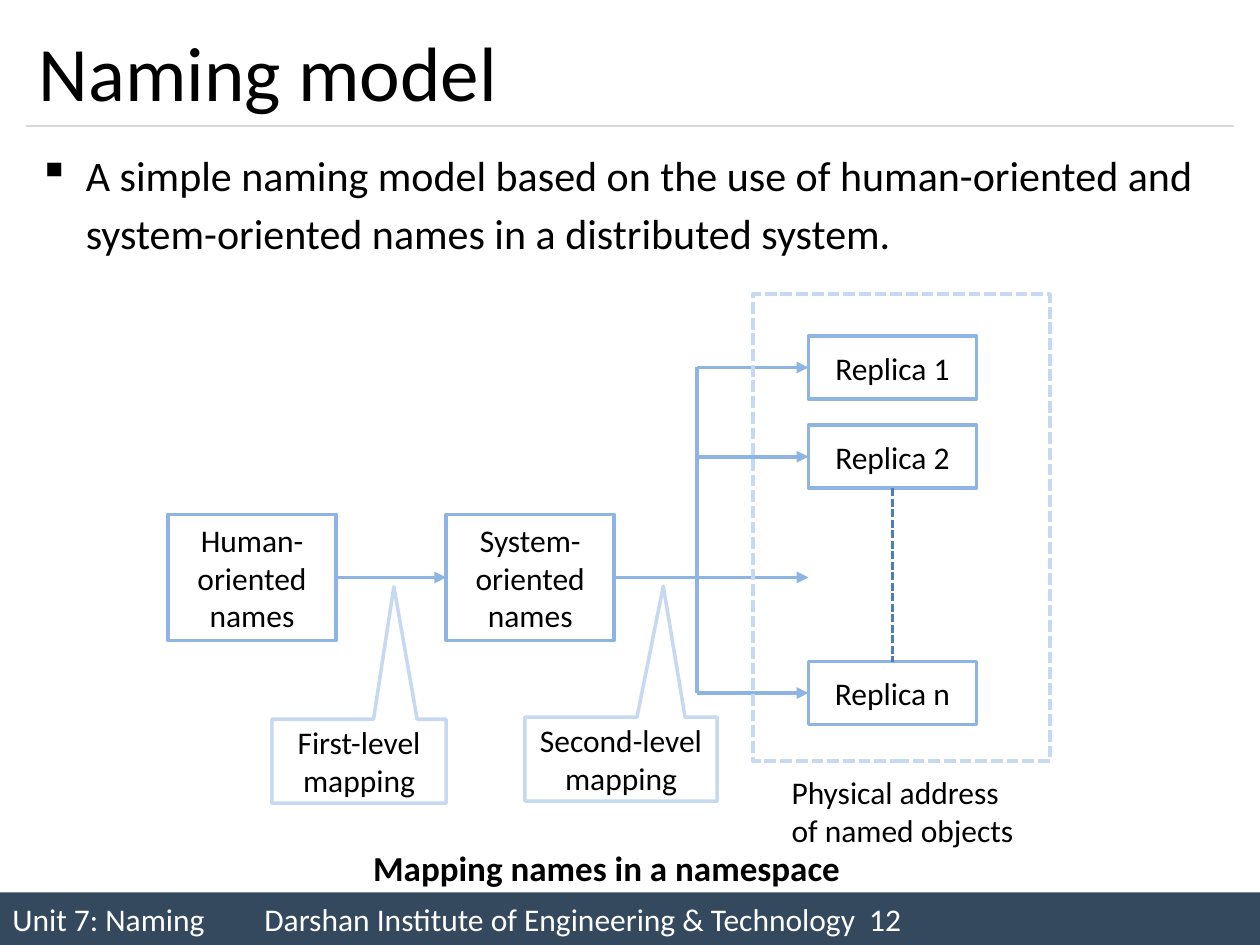
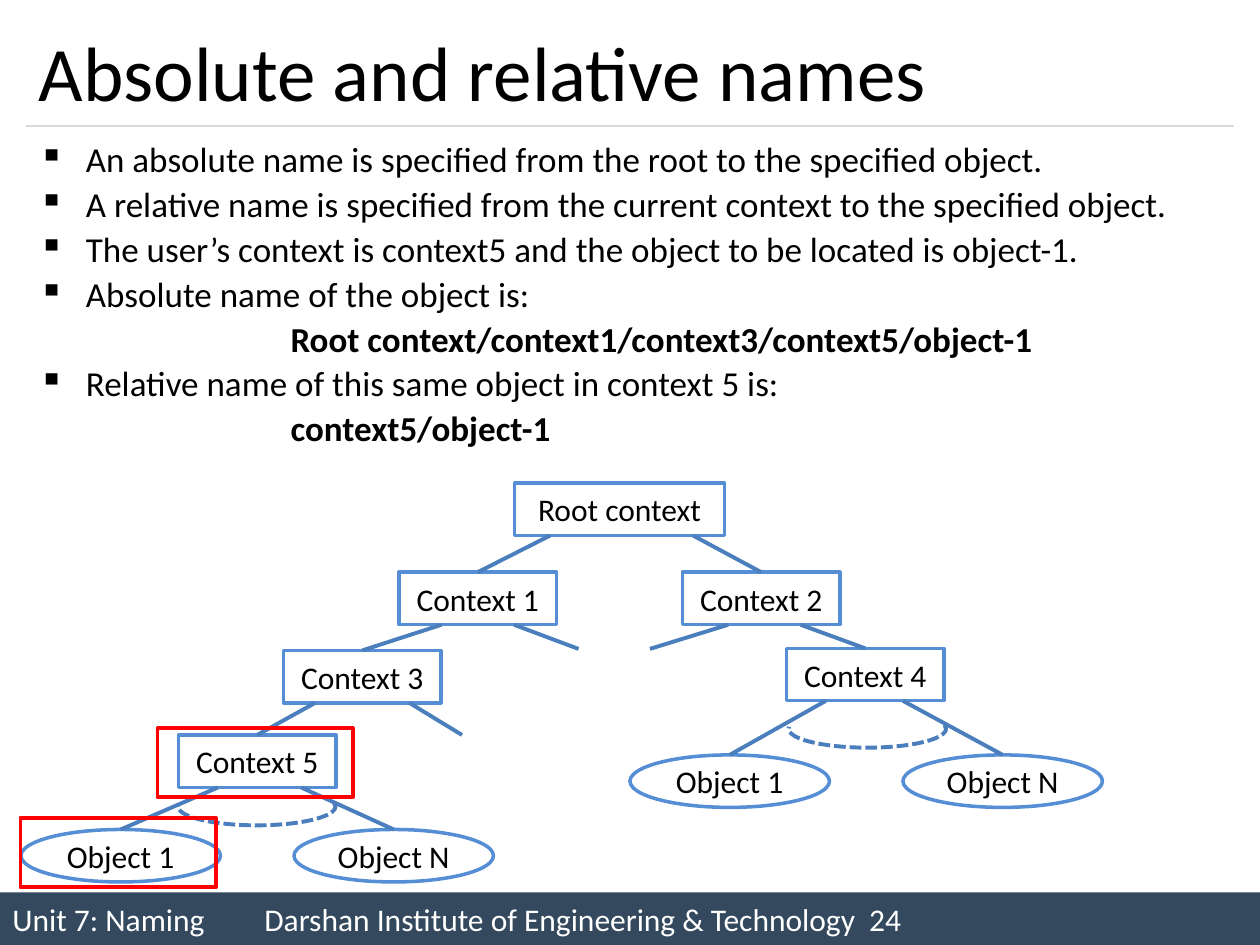
"""Build two slides on naming: the naming model, and absolute and relative names."""
from typing import NamedTuple, Optional

from lxml import etree
from pptx import Presentation
from pptx.dml.color import RGBColor
from pptx.enum.dml import MSO_LINE
from pptx.enum.shapes import MSO_CONNECTOR, MSO_SHAPE
from pptx.enum.text import MSO_ANCHOR, PP_ALIGN
from pptx.oxml.ns import qn
from pptx.util import Emu, Inches, Pt

W, H = Inches(10), Inches(7.5)
COLS = 240
FONT = "Calibri"
BLACK, WHITE, BAND, RULE = "000000", "FFFFFF", "34495E", "D9D9D9"
SKY, PALE, BLUE, STEEL, RED = "8EB4E3", "C6D9F1", "558ED5", "4B7EBC", "FF0000"
RECT, OVAL, ARC = MSO_SHAPE.RECTANGLE, MSO_SHAPE.OVAL, MSO_SHAPE.ARC
CALLOUT = MSO_SHAPE.RECTANGULAR_CALLOUT
DASH = MSO_LINE.SQUARE_DOT
STRAIGHT = MSO_CONNECTOR.STRAIGHT
LEFT, CENTER, JUSTIFY = PP_ALIGN.LEFT, PP_ALIGN.CENTER, PP_ALIGN.JUSTIFY
MIDDLE = MSO_ANCHOR.MIDDLE


class Box(NamedTuple):
    """A labelled shape placed in grid cells."""
    text: str
    x: float
    y: float
    w: float
    h: float
    kind: int = RECT
    line: Optional[str] = BLUE
    fill: Optional[str] = WHITE
    weight: float = 2
    dash: bool = False
    adj: tuple = ()
    turn: float = 0

    def foot(self, share: float = 0.5) -> tuple:
        """Return the point at a share of the bottom edge."""
        return self.x + self.w * share, self.y + self.h

    def head(self) -> tuple:
        """Return the middle of the top edge."""
        return self.x + self.w / 2, self.y


class Branch(NamedTuple):
    """A tree line from a share of a parent's bottom edge to a child."""
    parent: str
    share: float
    child: str


class Stub(NamedTuple):
    """A tree line from a parent that ends at a free point."""
    parent: str
    share: float
    x: float
    y: float


def u(cells: float) -> Emu:
    """Convert grid cells to a length."""
    return Emu(round(cells * W / COLS))


def rgb(value: str) -> RGBColor:
    """Convert a hex string to a colour."""
    return RGBColor.from_string(value)


def place(sp, x: float, y: float, w: float, h: float) -> None:
    """Put a shape at a place in grid cells."""
    sp.left, sp.top, sp.width, sp.height = u(x), u(y), u(w), u(h)


def write(tf, text: str, *, size: float = 18, color: str = BLACK, bold: bool = False,
          align=LEFT, bullet: str = "", margin: float = 0, spacing: float = 1,
          before: float = 0, right_tab: float = 0) -> None:
    """Add each line of text as a formatted paragraph."""
    for line in text.split("\n"):
        first = not tf.paragraphs[0].runs
        p = tf.paragraphs[0] if first else tf.add_paragraph()
        p.alignment, p.line_spacing = align, spacing
        p.space_before = Pt(0 if first else before)
        pPr = p._p.get_or_add_pPr()
        pPr.set("marL", str(u(margin)))
        pPr.set("indent", str(-u(margin) if bullet else 0))
        if bullet:
            etree.SubElement(pPr, qn("a:buChar"), char=bullet)
        if right_tab:
            tabs = etree.SubElement(pPr, qn("a:tabLst"))
            etree.SubElement(tabs, qn("a:tab"), pos=str(u(right_tab)), algn="r")
        r = p.add_run()
        r.text = line
        r.font.name, r.font.size, r.font.bold = FONT, Pt(size), bold
        r.font.color.rgb = rgb(color)


def draw_box(s, box: Box):
    """Draw a box with its label and return the shape."""
    sp = s.shapes.add_shape(box.kind, u(box.x), u(box.y), u(box.w), u(box.h))
    sp.shadow.inherit = False
    sp.rotation = box.turn
    for i, value in enumerate(box.adj):
        sp.adjustments[i] = value
    if box.fill:
        sp.fill.solid()
        sp.fill.fore_color.rgb = rgb(box.fill)
    else:
        sp.fill.background()
    if box.line:
        sp.line.color.rgb = rgb(box.line)
        sp.line.width = Pt(box.weight)
        if box.dash:
            sp.line.dash_style = DASH
    else:
        sp.line.fill.background()
    if box.text:
        write(sp.text_frame, box.text, align=CENTER)
    return sp


def draw_line(s, start: tuple, end: tuple, color: str, weight: float = 2.25,
              dash: bool = False, arrow: bool = False) -> None:
    """Draw a straight line between two grid points."""
    cx = s.shapes.add_connector(STRAIGHT, *(u(n) for n in (*start, *end)))
    cx.line.color.rgb = rgb(color)
    cx.line.width = Pt(weight)
    if dash:
        cx.line.dash_style = DASH
    if arrow:
        etree.SubElement(cx.line._get_or_add_ln(), qn("a:tailEnd"), type="triangle")
    etree.SubElement(cx._element.spPr, qn("a:effectLst"))


def text_box(s, x: float, y: float, w: float, h: float, wrap: bool = True):
    """Add a text box and return its text frame."""
    tf = s.shapes.add_textbox(u(x), u(y), u(w), u(h)).text_frame
    tf.word_wrap = wrap
    return tf


def new_slide(prs, title: str, number: int):
    """Add a slide with the shared title, rule and footer band."""
    s = prs.slides.add_slide(prs.slide_layouts[5])
    band = draw_box(s, Box("", 0, 170, COLS, 10, line=None, fill=BAND))
    write(band.text_frame, "Unit 7: Naming\tDarshan Institute of Engineering "
          f"& Technology  {number}", color=WHITE, right_tab=232)
    draw_line(s, (5, 24), (235, 24), RULE, 0.75)
    sp = s.shapes.title
    place(sp, 5, 3, 230, 21)
    sp.text_frame.vertical_anchor = MIDDLE
    write(sp.text_frame, title, size=44)
    return s


def naming_model(prs) -> None:
    """Build the slide that maps names to replicas."""
    s = new_slide(prs, "Naming model", 12)
    write(text_box(s, 5, 26, 230, 140),
          "A simple naming model based on the use of human-oriented and "
          "system-oriented names in a distributed system.",
          size=24, bullet="▪", margin=9, spacing=1.14)

    human = Box("Human-oriented names", 32, 98, 32, 24, line=SKY)
    system = Box("System-oriented names", 85, 98, 32, 24, line=SKY)
    replicas = [Box(f"Replica {name}", 154, y, 32, 12, line=SKY)
                for name, y in (("1", 64), ("2", 81), ("n", 126))]
    for box in (human, system, *replicas):
        draw_box(s, box)
    draw_line(s, replicas[1].foot(), replicas[2].head(), STEEL, 1.5, dash=True)

    mid, spine, target = 110, 132.8, replicas[0].x
    draw_line(s, (human.x + human.w, mid), (system.x, mid), SKY, arrow=True)
    draw_line(s, (system.x + system.w, mid), (target, mid), SKY, arrow=True)
    levels = [box.y + box.h / 2 for box in replicas]
    draw_line(s, (spine, levels[0]), (spine, levels[-1]), SKY)
    for y in levels:
        draw_line(s, (spine, y), (target, y), SKY, arrow=True)

    for box in (
        Box("First-level\nmapping", 51.8, 137, 33.2, 16, CALLOUT, PALE, adj=(0.2, -2.08)),
        Box("Second-level\nmapping", 100, 136.6, 36.6, 16, CALLOUT, PALE, adj=(0.22, -2.06)),
        Box("", 143.5, 56, 56.5, 89, line=PALE, fill=None, weight=2.25, dash=True),
    ):
        draw_box(s, box)
    write(text_box(s, 148.4, 146, 47.5, 17, wrap=False),
          "Physical address\nof named objects")
    write(text_box(s, 68.7, 160, 97.2, 10.5), "Mapping names in a namespace",
          size=20, bold=True)


def context_names(prs) -> None:
    """Build the slide that shows the context tree."""
    s = new_slide(prs, "Absolute and relative names", 24)
    tf = text_box(s, 5, 26, 230, 64)
    point = dict(size=20, align=JUSTIFY, spacing=0.9, before=4, bullet="▪", margin=9)
    example = {**point, "bullet": "", "margin": 48, "bold": True}
    write(tf, "An absolute name is specified from the root to the specified object.\n"
          "A relative name is specified from the current context to the specified object.\n"
          "The user’s context is context5 and the object to be located is object-1.\n"
          "Absolute name of the object is:", **point)
    write(tf, "Root context/context1/context3/context5/object-1", **example)
    write(tf, "Relative name of this same object in context 5 is:", **point)
    write(tf, "context5/object-1", **example)

    tree = {"root": Box("Root context", 98, 92, 40, 10)}
    for n, x, y in ((1, 76, 109), (2, 130, 109), (3, 54, 123.9), (5, 34, 140),
                    (4, 149.8, 123.5)):
        tree[f"c{n}"] = Box(f"Context {n}", x, y, 30, 10)
    for parent, x, y in (("c5", 4, 158), ("c4", 120, 143.8)):
        tree[f"{parent} first"] = Box("Object 1", x, y, 38, 10, OVAL)
        tree[f"{parent} last"] = Box("Object N", x + 52, y, 38, 10, OVAL)
    for box in tree.values():
        draw_box(s, box)

    for b in (
        Branch("root", 0.17, "c1"), Branch("root", 0.85, "c2"),
        Branch("c1", 0.27, "c3"), Branch("c2", 0.75, "c4"), Branch("c3", 0.2, "c5"),
        Branch("c5", 0.25, "c5 first"), Branch("c5", 0.78, "c5 last"),
        Branch("c4", 0.25, "c4 first"), Branch("c4", 0.74, "c4 last"),
    ):
        draw_line(s, tree[b.parent].foot(b.share), tree[b.child].head(), STEEL)
    for stub in (Stub("c1", 0.73, 110.2, 123.6), Stub("c2", 0.29, 123.8, 123.6),
                 Stub("c3", 0.8, 88, 140)):
        draw_line(s, tree[stub.parent].foot(stub.share), (stub.x, stub.y), STEEL)

    for x, y in ((33.9, 150), (150.2, 135.2)):
        draw_box(s, Box("", x, y, 30, 7.2, ARC, STEEL, None, 2.25, True,
                        (106.33, 0.86), 180))
    for x, y in ((30, 138.7), (3.9, 155.8)):
        draw_box(s, Box("", x, y, 37.2, 13.2, line=RED, fill=None, weight=2.25))


def main() -> None:
    """Build and save the presentation."""
    prs = Presentation()
    prs.slide_width, prs.slide_height = W, H
    naming_model(prs)
    context_names(prs)
    prs.save("out.pptx")


if __name__ == "__main__":
    main()
